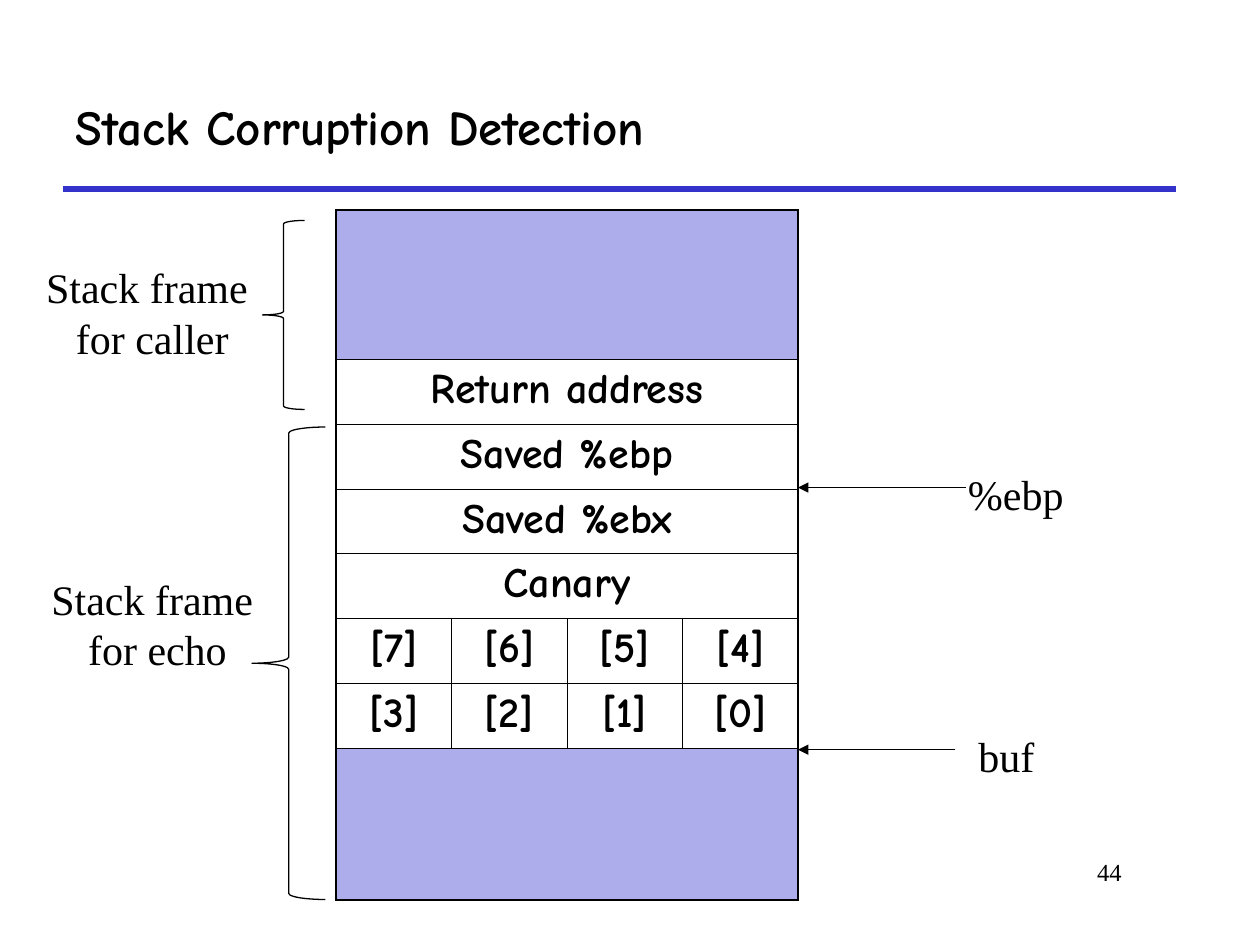
from lxml.etree import SubElement
from pptx import Presentation
from pptx.dml.color import RGBColor
from pptx.enum.shapes import MSO_CONNECTOR as Connector, MSO_SHAPE as Shape
from pptx.enum.text import MSO_ANCHOR as Anchor, MSO_AUTO_SIZE as AutoSize, PP_ALIGN as Align
from pptx.oxml.ns import qn
from pptx.util import Pt

COLORS = {"ink": "000000", "rule": "3333CC", "shade": "ADADEB"}
HEADING_FONT, BODY_FONT = "Comic Neue", "Times New Roman"
THIN, THICK = 0.45, 1.08
ROWS = [
    [""],
    ["Return address"],
    ["Saved %ebp"],
    ["Saved %ebx"],
    ["Canary"],
    ["[7]", "[6]", "[5]", "[4]"],
    ["[3]", "[2]", "[1]", "[0]"],
    [""],
]
ROW_HEIGHTS = [85.5] + [37] * 6 + [87]


def color(name):
    """Return a named colour."""
    return RGBColor.from_string(COLORS[name])


def set_text(frame, lines, size, font, align, bold=False):
    """Fill a text frame with evenly formatted paragraphs."""
    frame.text = "\n".join(lines)
    for paragraph in frame.paragraphs:
        paragraph.alignment = align
        paragraph.font.size = Pt(size)
        paragraph.font.name = font
        paragraph.font.bold = bold
        paragraph.font.color.rgb = color("ink")


def add_label(slide, box, lines, size=24, align=Align.LEFT):
    """Add a text box in the body font."""
    frame = slide.shapes.add_textbox(*map(Pt, box)).text_frame
    frame.word_wrap = True
    set_text(frame, lines, size, BODY_FONT, align)


def add_line(slide, start, end, name, width, arrow=False):
    """Add a straight line, with an arrowhead at its end if asked."""
    line = slide.shapes.add_connector(Connector.STRAIGHT, *map(Pt, start + end))
    line.line.color.rgb = color(name)
    line.line.width = Pt(width)
    if arrow:
        SubElement(line.line._get_or_add_ln(), qn("a:tailEnd"), type="triangle")
    SubElement(line._element.spPr, qn("a:effectLst"))


def add_heading(slide, box, text):
    """Place the title and the rule along the bottom of its box."""
    left, top, width, height = box
    title = slide.shapes.title
    title.left, title.top, title.width, title.height = map(Pt, box)
    title.text_frame.auto_size = AutoSize.NONE
    title.text_frame.vertical_anchor = Anchor.MIDDLE
    set_text(title.text_frame, [text], 28, HEADING_FONT, Align.LEFT, bold=True)
    add_line(slide, (left, top + height), (left + 636, top + height), "rule", 3)


def set_borders(cell, widths):
    """Draw the left, right, top and bottom borders of a cell."""
    properties = cell._tc.get_or_add_tcPr()
    for side, width in zip("LRTB", widths):
        border = SubElement(properties, qn(f"a:ln{side}"), w=str(Pt(width)))
        fill = SubElement(border, qn("a:solidFill"))
        SubElement(fill, qn("a:srgbClr"), val=COLORS["ink"])


def add_stack(slide, box):
    """Add the stack table, with shaded regions above and below the frame."""
    columns, last = 4, len(ROWS) - 1
    table = slide.shapes.add_table(len(ROWS), columns, *map(Pt, box)).table
    table.first_row = table.horz_banding = False
    for column in table.columns:
        column.width = Pt(box[2] / columns)
    for index, (texts, height) in enumerate(zip(ROWS, ROW_HEIGHTS)):
        table.rows[index].height = Pt(height)
        merged = len(texts) == 1
        if merged:
            table.cell(index, 0).merge(table.cell(index, columns - 1))
        for place in range(columns):
            cell = table.cell(index, place)
            set_borders(cell, [
                THICK if merged or place == 0 else THIN,
                THICK if merged or place == columns - 1 else THIN,
                THICK if index == 0 else THIN,
                THICK if index == last else THIN,
            ])
            if index in (0, last):
                cell.fill.solid()
                cell.fill.fore_color.rgb = color("shade")
            else:
                cell.fill.background()
            if place < len(texts) and texts[place]:
                set_text(cell.text_frame, [texts[place]], 24, HEADING_FONT, Align.CENTER, bold=True)


def add_frame_brace(slide, box, label_box, lines):
    """Add a left brace and the label of the frame it spans."""
    brace = slide.shapes.add_shape(Shape.LEFT_BRACE, *map(Pt, box))
    brace.shadow.inherit = False
    brace.fill.background()
    brace.line.color.rgb = color("ink")
    brace.line.width = Pt(0.75)
    add_label(slide, label_box, lines, align=Align.CENTER)


def add_pointer(slide, box, length, label_offset, text):
    """Add a label at an offset in the box and an arrow to the box's left edge."""
    left, top, width, height = box
    middle = top + 14.4
    add_line(slide, (left + length, middle), (left, middle), "ink", 0.75, arrow=True)
    add_label(slide, (left + label_offset, top, width - label_offset, height), [text])


def main():
    """Build and save the slide."""
    presentation = Presentation()
    presentation.slide_width, presentation.slide_height = Pt(720), Pt(540)
    slide = presentation.slides.add_slide(presentation.slide_layouts[5])
    add_heading(slide, (36, 36, 654, 72), "Stack Corruption Detection")
    add_stack(slide, (192, 120, 264, sum(ROW_HEIGHTS)))
    add_pointer(slide, (456, 264.2, 174, 36), 96, 90, "%ebp")
    add_pointer(slide, (456, 414, 150, 36), 90, 96, "buf")
    add_frame_brace(slide, (150, 126, 24, 108), (18, 146, 132, 65), ["Stack frame", " for caller"])
    add_frame_brace(slide, (144, 244, 42, 270), (18, 324, 144, 65), ["Stack frame ", "for echo"])
    add_label(slide, (546, 486, 102, 36), ["44"], size=14, align=Align.RIGHT)
    presentation.save("out.pptx")


if __name__ == "__main__":
    main()
